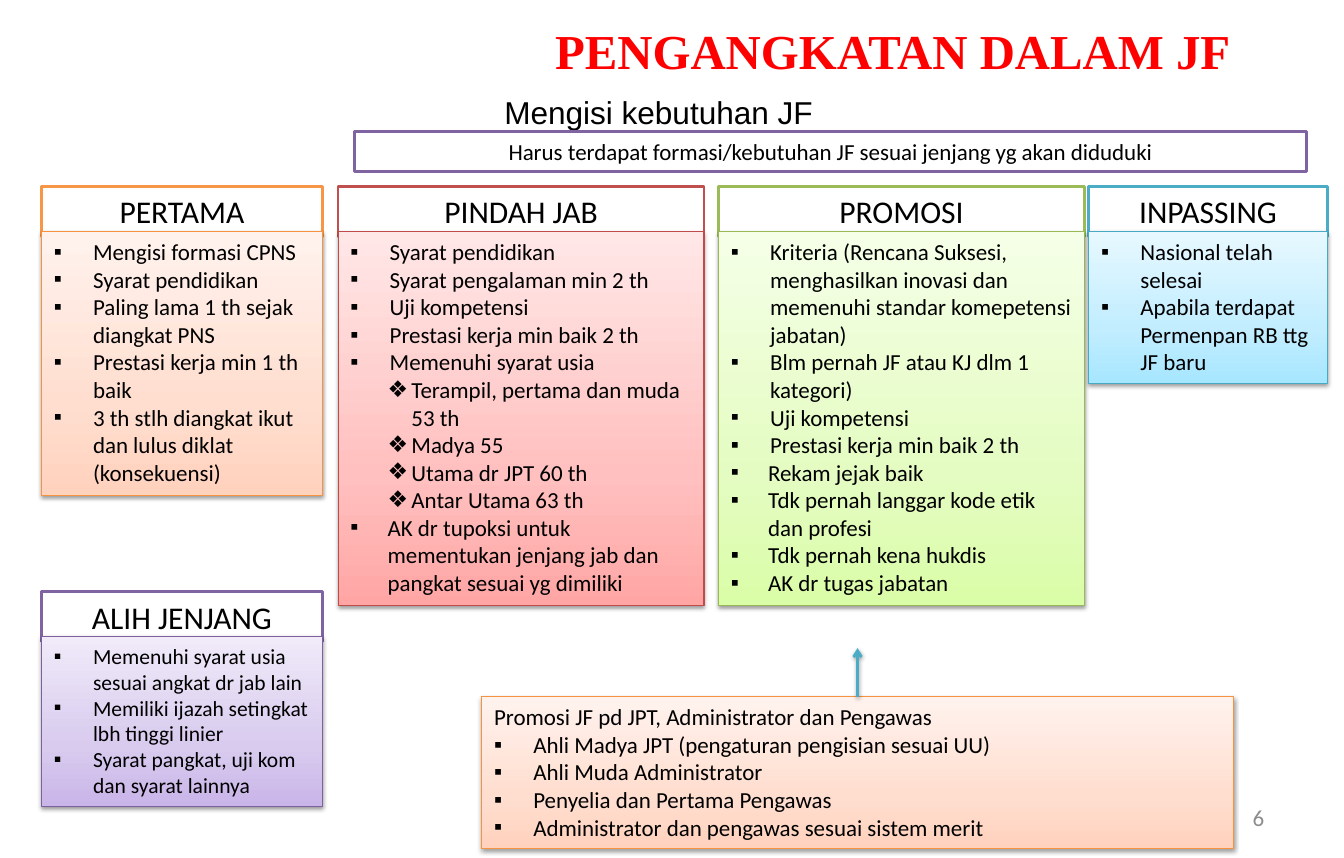
from copy import deepcopy

from lxml import etree
from pptx import Presentation
from pptx import util as u
from pptx.dml.color import RGBColor
from pptx.enum import shapes, text
from pptx.oxml.ns import qn

PX = 9144  # EMU in one px, 100 px to the inch
COLORS = {
    "white": "FFFFFF", "black": "000000", "title": "FF0000", "number": "8C8C8C",
    "orange": "F79646", "red": "C0504D", "green": "9BBB59", "teal": "4BACC6", "purple": "8064A2",
    "orange_edge": "F69240", "red_edge": "BF4C48", "green_edge": "98B955",
    "teal_edge": "46AAC5", "purple_edge": "7D60A0",
}
# Bottom, 35 % and top colour of each panel
GRADIENTS = {
    "orange": ("FFD2BD", "FFDED0", "FFF2ED"),
    "red": ("FFA6A5", "FFC0BF", "FFE7E7"),
    "green": ("DAFDA7", "E4FCC2", "F5FFE7"),
    "teal": ("A7E6FF", "C1EDFF", "E7F8FF"),
    "purple": ("C9B5E8", "D8CBEE", "F0EAF9"),
}
STOPS = (0, 0.35, 1)
# Left margin, hanging indent and bullet
LEVELS = {"plain": None, "item": (38, 38, "▪"), "tight": (36, 36, "▪"), "sub": (59, 23, "❖")}
LEFT, CENTER, RIGHT = text.PP_ALIGN.LEFT, text.PP_ALIGN.CENTER, text.PP_ALIGN.RIGHT
TOP, MIDDLE = text.MSO_ANCHOR.TOP, text.MSO_ANCHOR.MIDDLE
HEADER_STEP = 44  # a panel starts this far below the top of its header

PERTAMA = [("item", [
    "Mengisi formasi CPNS", "Syarat pendidikan", "Paling lama 1 th sejak diangkat PNS",
    "Prestasi kerja min 1 th baik", "3 th stlh diangkat ikut dan lulus diklat (konsekuensi)"])]
PINDAH = [
    ("item", ["Syarat pendidikan", "Syarat pengalaman min 2 th", "Uji kompetensi",
              "Prestasi kerja min baik 2 th", "Memenuhi syarat usia"]),
    ("sub", ["Terampil, pertama dan muda 53 th", "Madya 55", "Utama dr JPT 60 th",
             "Antar Utama 63 th"]),
    ("tight", ["AK dr tupoksi untuk mementukan jenjang jab dan pangkat sesuai yg dimiliki"])]
PROMOSI = [
    ("item", ["Kriteria (Rencana Suksesi, menghasilkan inovasi dan memenuhi standar "
              "komepetensi jabatan)", "Blm pernah JF atau KJ dlm 1 kategori)",
              "Uji kompetensi", "Prestasi kerja min baik 2 th"]),
    ("tight", ["Rekam jejak baik", "Tdk pernah langgar kode etik dan profesi",
               "Tdk pernah kena hukdis", "AK dr tugas jabatan"])]
INPASSING = [("item", ["Nasional telah selesai", "Apabila terdapat Permenpan RB ttg JF baru"])]
ALIH = [("item", ["Memenuhi syarat usia sesuai angkat dr jab lain",
                  "Memiliki ijazah setingkat lbh tinggi linier",
                  "Syarat pangkat, uji kom dan syarat lainnya"])]
PENGAWAS = [
    ("plain", ["Promosi JF pd JPT, Administrator dan Pengawas"]),
    ("item", ["Ahli Madya JPT (pengaturan pengisian sesuai UU)", "Ahli Muda Administrator",
              "Penyelia dan Pertama Pengawas", "Administrator dan pengawas sesuai sistem merit"])]

# Header, colour, (left, top, width, panel height), text size, paragraphs
CARDS = [
    ("PERTAMA", "orange", (40, 180, 272, 255), 16, PERTAMA),
    ("PINDAH JAB", "red", (327, 180, 354, 362), 16, PINDAH),
    ("PROMOSI", "green", (695, 180, 354, 362), 16, PROMOSI),
    ("INPASSING", "teal", (1053, 180, 231, 147), 16, INPASSING),
    ("ALIH JENJANG", "purple", (40, 572, 272, 164), 15, ALIH),
]


def rgb(name):
    return RGBColor.from_string(COLORS[name])


def emu(box):
    return [length * PX for length in box]


def write(shape, groups, size=16, font="Calibri", color="black", bold=False,
          align=LEFT, anchor=TOP):
    """Fill a shape with text: one string, or groups of (level, paragraphs)."""
    if isinstance(groups, str):
        groups = [("plain", [groups])]
    frame = shape.text_frame
    frame.word_wrap = True
    frame.auto_size = text.MSO_AUTO_SIZE.NONE
    frame.vertical_anchor = anchor
    frame.margin_left = frame.margin_right = 12 * PX
    frame.margin_top = frame.margin_bottom = 6 * PX
    lines = [(level, line) for level, group in groups for line in group]
    for index, (level, line) in enumerate(lines):
        paragraph = frame.add_paragraph() if index else frame.paragraphs[0]
        paragraph.alignment = align
        if LEVELS[level]:
            add_bullet(paragraph, *LEVELS[level])
        run = paragraph.add_run()
        run.text = line
        run.font.size, run.font.name, run.font.bold = u.Pt(size), font, bold
        run.font.color.rgb = rgb(color)


def add_bullet(paragraph, margin, hanging, mark):
    props = paragraph._p.get_or_add_pPr()
    props.set("marL", str(margin * PX))
    props.set("indent", str(-hanging * PX))
    etree.SubElement(props, qn("a:buFont")).set("typeface", "Arial")
    etree.SubElement(props, qn("a:buChar")).set("char", mark)


def add_shadow(effects):
    shadow = etree.SubElement(effects, qn("a:outerShdw"), blurRad=str(u.Pt(3.1)),
                              dist=str(u.Pt(1.6)), dir="5400000", rotWithShape="0")
    black = etree.SubElement(shadow, qn("a:srgbClr"), val=COLORS["black"])
    etree.SubElement(black, qn("a:alpha"), val="38000")


def add_rectangle(slide, box, edge, weight):
    rectangle = slide.shapes.add_shape(shapes.MSO_SHAPE.RECTANGLE, *emu(box))
    rectangle.line.color.rgb = rgb(edge)
    rectangle.line.width = u.Pt(weight)
    rectangle.shadow.inherit = False
    return rectangle


def add_label(slide, box, color, label, size):
    """White framed box with centred text."""
    frame = add_rectangle(slide, box, color, 2)
    frame.fill.solid()
    frame.fill.fore_color.rgb = rgb("white")
    write(frame, label, size=size, align=CENTER)


def add_panel(slide, box, color, groups, size=16):
    """Shaded box with a shadow and a list."""
    panel = add_rectangle(slide, box, color + "_edge", 0.75)
    panel.fill.gradient()
    panel.fill.gradient_angle = 90
    stop_list = panel._element.spPr.find(".//" + qn("a:gsLst"))
    stop_list.append(deepcopy(stop_list[-1]))
    for stop, position, shade in zip(panel.fill.gradient_stops, STOPS, GRADIENTS[color]):
        stop.color.rgb = RGBColor.from_string(shade)
        stop.position = position
    add_shadow(panel._element.spPr.find(qn("a:effectLst")))
    write(panel, groups, size=size)
    return panel


def add_card(slide, box, color, header, groups, size):
    left, top, width, panel_height = box
    add_label(slide, (left, top, width, 49), color, header, 22)
    add_panel(slide, (left, top + HEADER_STEP, width, panel_height), color, groups, size)


def add_arrow_up(slide, source, length):
    x, y = source.left + source.width // 2, source.top
    arrow = slide.shapes.add_connector(shapes.MSO_CONNECTOR.STRAIGHT, x, y, x, y - length * PX)
    arrow.begin_connect(source, 0)
    arrow.line.color.rgb = rgb("teal")
    arrow.line.width = u.Pt(2)
    etree.SubElement(arrow.line._get_or_add_ln(), qn("a:tailEnd"), type="arrow")
    add_shadow(etree.SubElement(arrow._element.spPr, qn("a:effectLst")))


def add_text(slide, box, line, **style):
    write(slide.shapes.add_textbox(*emu(box)), line, **style)


def add_heading(slide):
    title = slide.shapes.title
    title.left, title.top, title.width, title.height = emu((525, 14, 943, 69))
    write(title, "PENGANGKATAN DALAM JF", size=34, font="Times New Roman",
          color="title", bold=True)
    add_text(slide, (230, 84, 814, 49), "Mengisi kebutuhan JF", size=22, font="Arial",
             align=CENTER)


def main():
    deck = Presentation()
    deck.slide_width, deck.slide_height = emu((1300, 830))
    slide = deck.slides.add_slide(deck.slide_layouts[5])
    add_heading(slide)
    for header, color, box, size, groups in CARDS:
        add_card(slide, box, color, header, groups, size)
    add_label(slide, (343, 127, 921, 39), "purple",
              "Harus terdapat formasi/kebutuhan JF sesuai jenjang yg akan diduduki", 16)
    pengawas = add_panel(slide, (466, 674, 727, 147), "orange", PENGAWAS)
    add_arrow_up(slide, pengawas, 47)
    add_text(slide, (932, 769, 303, 44), "6", color="number", align=RIGHT, anchor=MIDDLE)
    deck.save("out.pptx")


if __name__ == "__main__":
    main()
